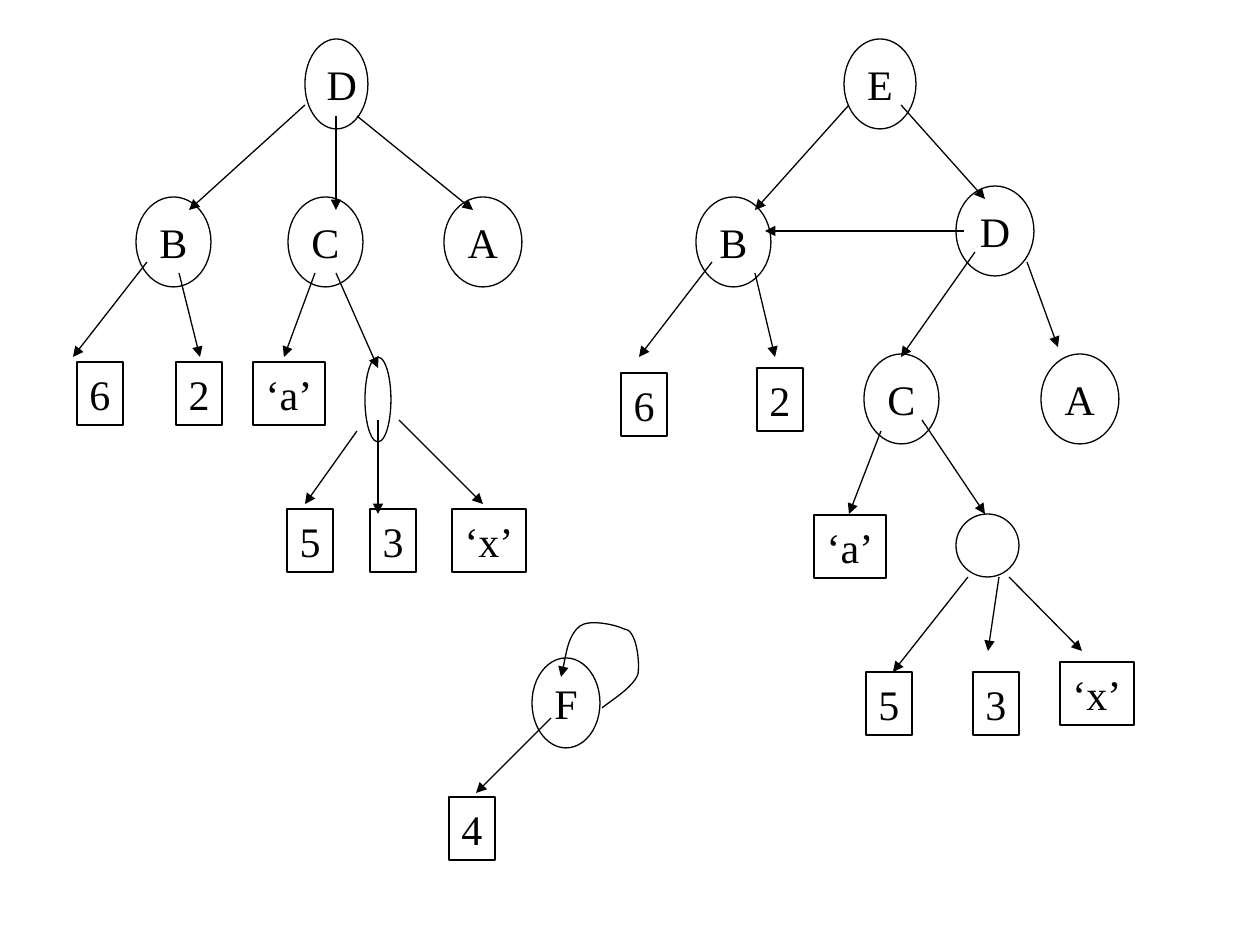
from dataclasses import dataclass
from typing import Any

import lxml.etree
import pptx
import pptx.dml.color
import pptx.enum.shapes
import pptx.enum.text
import pptx.oxml.ns
import pptx.util

SCALE = 914400 / 126
INK = "000000"
FONT = "Times New Roman"
OVAL = pptx.enum.shapes.MSO_SHAPE.OVAL
RECT = pptx.enum.shapes.MSO_SHAPE.RECTANGLE
qn = pptx.oxml.ns.qn


@dataclass
class Node:
    text: str
    left: int
    top: int
    wide: int
    high: int = 90
    kind: Any = OVAL
    wrap: bool = False


@dataclass
class Edge:
    x1: int
    y1: int
    x2: int
    y2: int


def leaf(text: str, left: int, top: int) -> Node:
    wide = {"‘a’": 72, "‘x’": 74}.get(text, 46)
    return Node(text, left, top, wide, 63, RECT)


def emu(px: int) -> pptx.util.Emu:
    return pptx.util.Emu(round(px * SCALE))


def tint(code: str) -> pptx.dml.color.RGBColor:
    return pptx.dml.color.RGBColor.from_string(code)


def write(shape: Any, text: str, *, size: int = 24, font: str = FONT,
          color: str = INK, wrap: bool = False) -> None:
    frame = shape.text_frame
    frame.word_wrap = wrap
    frame.vertical_anchor = pptx.enum.text.MSO_ANCHOR.MIDDLE
    para = frame.paragraphs[0]
    para.alignment = pptx.enum.text.PP_ALIGN.CENTER
    run = para.add_run()
    run.text = text
    run.font.size = pptx.util.Pt(size)
    run.font.name = font
    run.font.color.rgb = tint(color)


def trace(shape: Any) -> None:
    shape.line.color.rgb = tint(INK)
    shape.line.width = pptx.util.Pt(0.75)


def add_head(shape: Any) -> None:
    line = shape.line._get_or_add_ln()
    lxml.etree.SubElement(line, qn("a:tailEnd"), type="triangle")


def draw_node(group: Any, node: Node) -> None:
    shape = group.shapes.add_shape(
        node.kind, emu(node.left), emu(node.top), emu(node.wide), emu(node.high))
    shape.shadow.inherit = False
    shape.fill.background()
    trace(shape)
    if node.text:
        write(shape, node.text, wrap=node.wrap)


def draw_edge(group: Any, edge: Edge) -> None:
    line = group.shapes.add_connector(
        pptx.enum.shapes.MSO_CONNECTOR.STRAIGHT,
        emu(edge.x1), emu(edge.y1), emu(edge.x2), emu(edge.y2))
    trace(line)
    add_head(line)
    lxml.etree.SubElement(line._element.spPr, qn("a:effectLst"))


def draw_loop(group: Any, start: tuple[int, int],
              points: list[tuple[int, int]]) -> None:
    form = group.shapes.build_freeform(*start, scale=SCALE)
    form.add_line_segments(points, close=False)
    loop = form.convert_to_shape()
    loop.shadow.inherit = False
    loop.fill.background()
    trace(loop)
    add_head(loop)
    parts = list(loop._element.spPr.iter(qn("a:lnTo")))
    for i in range(0, len(parts), 3):
        curve = lxml.etree.Element(qn("a:cubicBezTo"))
        parts[i].addprevious(curve)
        for part in parts[i:i + 3]:
            curve.append(part[0])
            part.getparent().remove(part)


def draw_tree(slide: Any, nodes: list[Node], edges: list[Edge]) -> Any:
    group = slide.shapes.add_group_shape()
    for node in nodes:
        draw_node(group, node)
    for edge in edges:
        draw_edge(group, edge)
    return group


LEFT_NODES = [
    Node("D", 305, 39, 63, wrap=True),
    Node("B", 136, 197, 75), Node("C", 288, 197, 75), Node("A", 444, 197, 78),
    leaf("6", 77, 362), leaf("2", 176, 362), leaf("‘a’", 253, 362),
    Node("", 365, 357, 26, 85),
    leaf("5", 287, 509), leaf("3", 370, 509), leaf("‘x’", 452, 509),
]
LEFT_EDGES = [
    Edge(305, 105, 189, 210), Edge(336, 116, 336, 210), Edge(357, 116, 473, 210),
    Edge(147, 262, 73, 357), Edge(179, 273, 200, 357),
    Edge(336, 273, 378, 368), Edge(315, 273, 284, 357),
    Edge(357, 431, 305, 504), Edge(378, 420, 378, 514), Edge(399, 420, 483, 504),
]
RIGHT_NODES = [
    Node("E", 844, 39, 72), Node("B", 696, 197, 75), Node("D", 956, 186, 78),
    Node("C", 864, 354, 75), Node("A", 1041, 354, 78),
    leaf("6", 621, 373), leaf("2", 757, 368), leaf("‘a’", 814, 515),
    Node("", 956, 514, 63, 63),
    leaf("5", 866, 672), leaf("3", 973, 672), leaf("‘x’", 1060, 662),
]
RIGHT_EDGES = [
    Edge(849, 105, 755, 210), Edge(901, 105, 985, 199),
    Edge(712, 262, 639, 357), Edge(755, 273, 775, 357),
    Edge(975, 252, 901, 357), Edge(1027, 262, 1058, 347),
    Edge(881, 431, 849, 514), Edge(922, 420, 985, 514),
    Edge(968, 577, 893, 672), Edge(999, 577, 988, 651), Edge(1009, 577, 1082, 651),
    Edge(964, 231, 765, 231),
]
SELF_NODES = [Node("F", 532, 658, 68), leaf("4", 449, 797)]
SELF_EDGES = [Edge(551, 718, 476, 793)]
LOOP = [
    (609, 702), (634, 687), (638, 674), (640, 660), (636, 629), (624, 629),
    (616, 625), (590, 619), (580, 626), (568, 635), (564, 667), (561, 677),
]


def main() -> None:
    deck = pptx.Presentation()
    deck.slide_width, deck.slide_height = emu(1260), emu(945)
    slide = deck.slides.add_slide(deck.slide_layouts[6])
    draw_tree(slide, LEFT_NODES, LEFT_EDGES)
    draw_tree(slide, RIGHT_NODES, RIGHT_EDGES)
    group = draw_tree(slide, SELF_NODES, SELF_EDGES)
    draw_loop(group, (602, 708), LOOP)
    deck.save("out.pptx")


if __name__ == "__main__":
    main()
